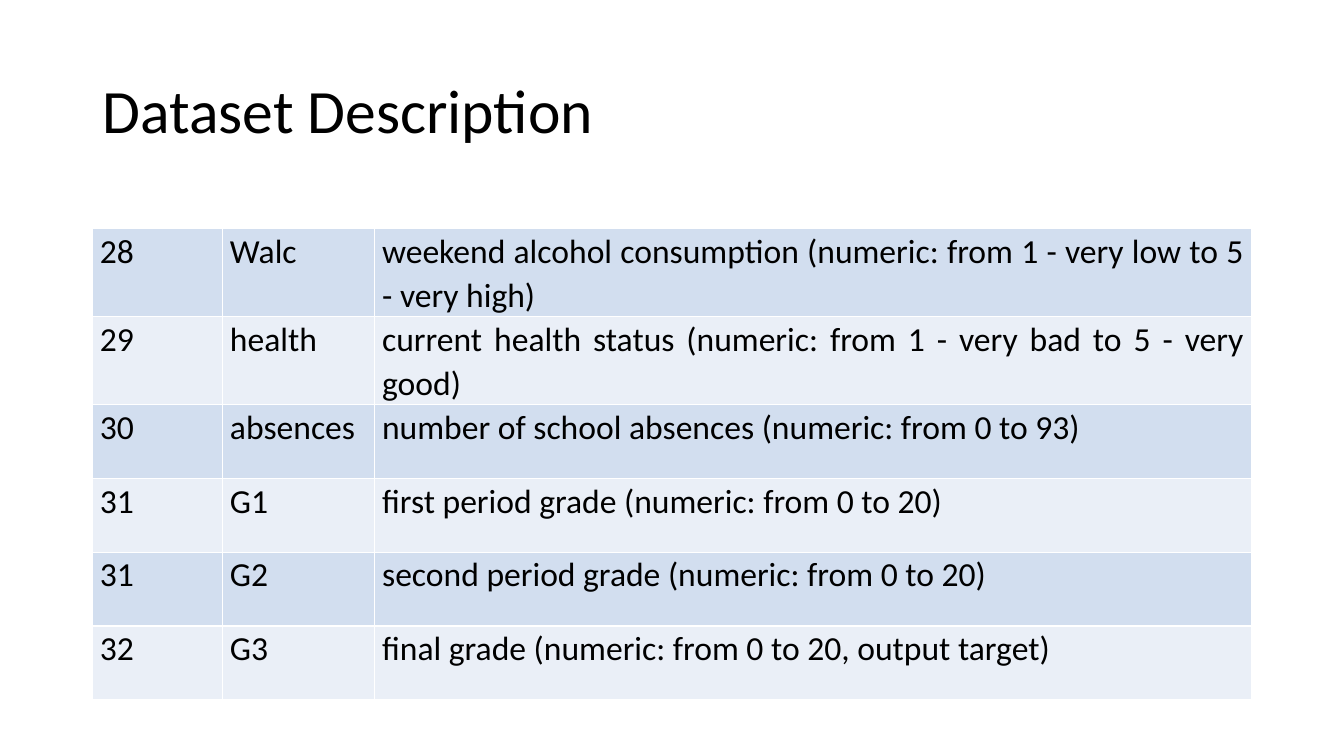
from lxml import etree
from pptx import Presentation
from pptx.dml.color import RGBColor
from pptx.enum.text import MSO_ANCHOR, PP_ALIGN
from pptx.oxml.ns import qn
from pptx.util import Pt

FONT = "Calibri"
BLACK, WHITE = "000000", "FFFFFF"
BANDS = ("D2DEEF", "EAEFF7")
COLUMN_WIDTHS = (92.9, 108.7, 626.4)
TWO_LINES, ONE_LINE = 62.6, 52.8
ATTRIBUTES = [
    (TWO_LINES, "28", "Walc", "weekend alcohol consumption (numeric: from 1 - very low to 5 - very high)"),
    (TWO_LINES, "29", "health", "current health status (numeric: from 1 - very bad to 5 - very good)"),
    (ONE_LINE, "30", "absences", "number of school absences (numeric: from 0 to 93)"),
    (ONE_LINE, "31", "G1", "first period grade (numeric: from 0 to 20)"),
    (ONE_LINE, "31", "G2", "second period grade (numeric: from 0 to 20)"),
    (ONE_LINE, "32", "G3", "final grade (numeric: from 0 to 20, output target)"),
]


def color(hex_string):
    return RGBColor.from_string(hex_string)


def write(frame, text, size, align, spacing):
    paragraph = frame.paragraphs[0]
    paragraph.alignment = align
    paragraph.line_spacing = spacing
    run = paragraph.add_run()
    run.text = text
    run.font.name = FONT
    run.font.size = Pt(size)
    run.font.color.rgb = color(BLACK)


def add_borders(cell, hex_string, width):
    properties = cell._tc.get_or_add_tcPr()
    for index, side in enumerate(("a:lnL", "a:lnR", "a:lnT", "a:lnB")):
        line = etree.Element(qn(side), w=str(Pt(width)))
        fill = etree.SubElement(line, qn("a:solidFill"))
        etree.SubElement(fill, qn("a:srgbClr"), val=hex_string)
        properties.insert(index, line)


def fill_cell(cell, text, band):
    cell.fill.solid()
    cell.fill.fore_color.rgb = color(band)
    cell.margin_left = cell.margin_right = Pt(5.4)
    cell.margin_top = cell.margin_bottom = Pt(0)
    write(cell.text_frame, text, 24, PP_ALIGN.JUSTIFY, 1.07)
    add_borders(cell, WHITE, 1)


def place_title(slide, text, left, top, width, height):
    title = slide.shapes.title
    title.left, title.top = Pt(left), Pt(top)
    title.width, title.height = Pt(width), Pt(height)
    title.text_frame.vertical_anchor = MSO_ANCHOR.MIDDLE
    write(title.text_frame, text, 44, PP_ALIGN.LEFT, 0.9)


def place_attribute_table(slide, left, top, width):
    height = sum(row[0] for row in ATTRIBUTES)
    table = slide.shapes.add_table(
        len(ATTRIBUTES), len(COLUMN_WIDTHS), Pt(left), Pt(top), Pt(width), Pt(height)
    ).table
    table.first_row = False
    scale = width / sum(COLUMN_WIDTHS)
    for column, column_width in zip(table.columns, COLUMN_WIDTHS):
        column.width = Pt(column_width * scale)
    for index, (row_height, *texts) in enumerate(ATTRIBUTES):
        table.rows[index].height = Pt(row_height)
        for cell, text in zip(table.rows[index].cells, texts):
            fill_cell(cell, text, BANDS[index % 2])


presentation = Presentation()
presentation.slide_width, presentation.slide_height = Pt(960), Pt(540)
slide = presentation.slides.add_slide(presentation.slide_layouts[5])
place_title(slide, "Dataset Description", 66, 28.8, 828, 104.4)
place_attribute_table(slide, 66, 163.5, 828)
presentation.save("out.pptx")
